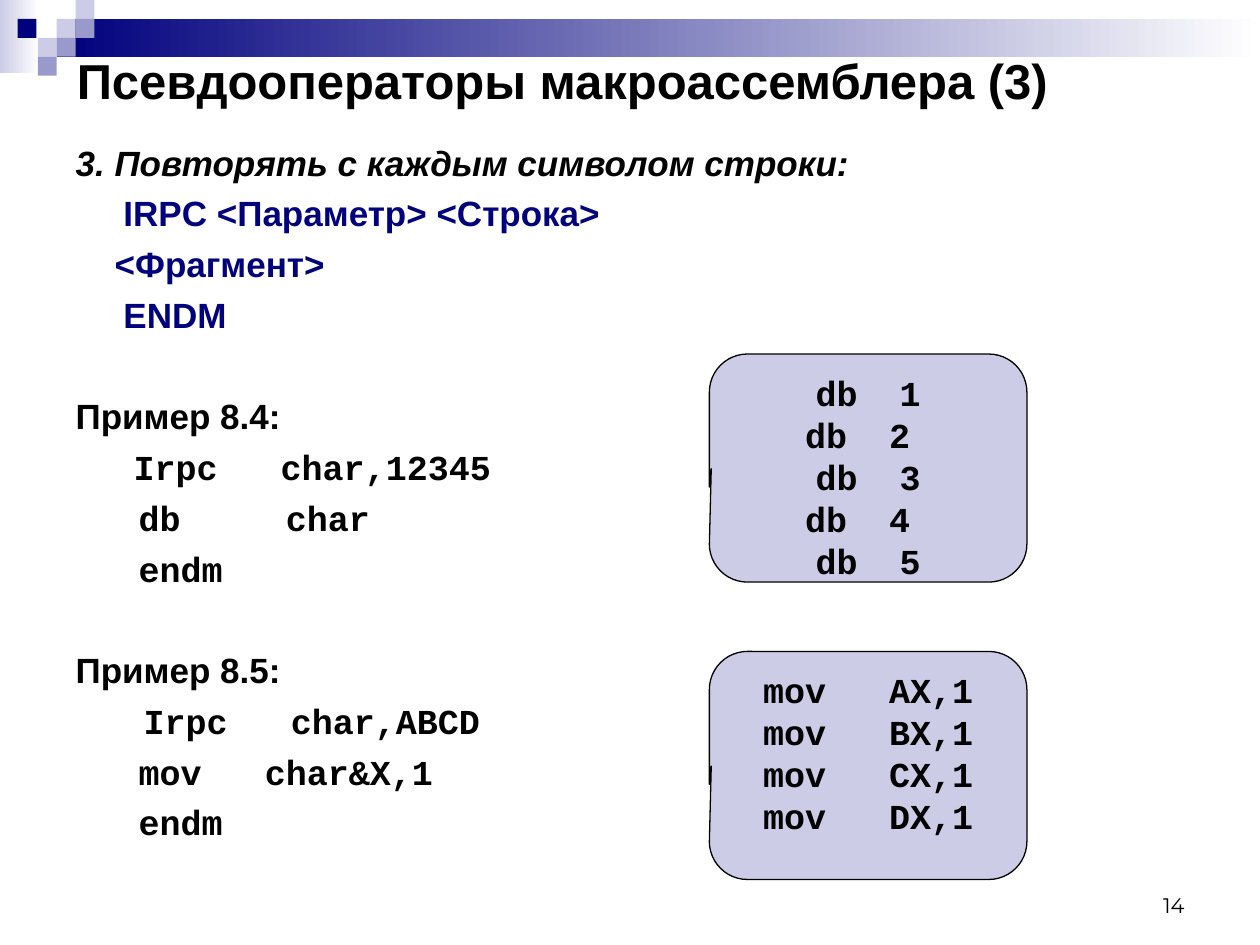
from dataclasses import dataclass

import pptx
import pptx.dml.color
import pptx.enum.shapes
import pptx.enum.text
import pptx.oxml.ns
from lxml import etree
from pptx.util import Inches, Pt

COLORS = {"navy": "00007D", "violet": "9999CC", "lavender": "CCCCE6",
          "white": "FFFFFF", "black": "000000"}
ALIGN = pptx.enum.text.PP_ALIGN
ANCHOR = pptx.enum.text.MSO_ANCHOR
SHAPE = pptx.enum.shapes.MSO_SHAPE
CODE = "Courier New"
SQUARE = 0.15


@dataclass
class Box:
    left: float
    top: float
    width: float
    height: float

    def lengths(self) -> tuple:
        return tuple(Inches(value) for value in (self.left, self.top, self.width, self.height))


@dataclass
class Line:
    text: str
    indent: float = 0
    before: float = 5
    font: str = "Arial"
    color: str = "black"
    italic: bool = False


@dataclass
class Callout:
    top: float
    lines: list[str]


BARS = [(Box(0, 0, 0.31, 0.58), "lavender"), (Box(0.45, 0.15, 9.55, 0.3), "navy")]
SQUARES = [(3, 1, "lavender"), (4, 0, "lavender"), (4, 1, "violet"), (2, 2, "lavender"),
           (0.93, 1, "navy"), (3, 2, "violet"), (2, 3, "violet")]
BODY = [
    Line("3. Повторять с каждым символом строки:", before=0, italic=True),
    Line("IRPC <Параметр> <Строка>", indent=0.38, color="navy"),
    Line("<Фрагмент>", indent=0.31, color="navy"),
    Line("ENDM", indent=0.38, color="navy"),
    Line("Пример 8.4:", before=34),
    Line("Irpc   char,12345", indent=0.46, font=CODE),
    Line("   db     char", font=CODE),
    Line("   endm", font=CODE),
    Line("Пример 8.5:", before=34),
    Line("Irpc   char,ABCD", indent=0.54, font=CODE),
    Line("   mov   char&X,1", font=CODE),
    Line("   endm", font=CODE),
]
CALLOUTS = [
    Callout(2.81, ["db  1", "db  2 ", "db  3", "db  4 ", "db  5"]),
    Callout(5.17, [f"mov\t{register}X,1" for register in "ABCD"]),
]


def rgb(name: str) -> pptx.dml.color.RGBColor:
    return pptx.dml.color.RGBColor.from_string(COLORS[name])


def write(paragraph, text: str, *, size=20, font="Arial", color="black", bold=True,
          italic=False, align=ALIGN.LEFT, indent=0.0, before=0.0, spacing=None) -> None:
    """Fill a paragraph with unbulleted, formatted text."""
    properties = paragraph._p.get_or_add_pPr()
    properties.set("marL", str(Inches(indent)))
    properties.set("indent", "0")
    etree.SubElement(properties, pptx.oxml.ns.qn("a:buNone"))
    paragraph.alignment = align
    paragraph.space_before = Pt(before)
    if spacing:
        paragraph.line_spacing = Pt(spacing)
    run = paragraph.add_run()
    run.text = text
    run.font.size = Pt(size)
    run.font.name = font
    run.font.bold = bold
    run.font.italic = italic
    run.font.color.rgb = rgb(color)


def prepare_frame(shape, anchor):
    frame = shape.text_frame
    frame.word_wrap = True
    frame.auto_size = pptx.enum.text.MSO_AUTO_SIZE.NONE
    frame.vertical_anchor = anchor
    return frame


def next_paragraph(frame, index: int):
    return frame.add_paragraph() if index else frame.paragraphs[0]


def place(shape, box: Box) -> None:
    shape.left, shape.top, shape.width, shape.height = box.lengths()


def add_block(slide, box: Box, color: str, gradient: bool = False) -> None:
    shape = slide.shapes.add_shape(SHAPE.RECTANGLE, *box.lengths())
    shape.shadow.inherit = False
    shape.line.fill.background()
    if gradient:
        shape.fill.gradient()
        shape.fill.gradient_angle = 0
        for stop, name in zip(shape.fill.gradient_stops, (color, "white")):
            stop.color.rgb = rgb(name)
    else:
        shape.fill.solid()
        shape.fill.fore_color.rgb = rgb(color)


def add_callout(slide, callout: Callout) -> None:
    box = Box(5.63, callout.top, 2.52, 1.81)
    shape = slide.shapes.add_shape(SHAPE.ROUNDED_RECTANGULAR_CALLOUT, *box.lengths())
    shape.shadow.inherit = False
    for index, value in enumerate((-0.494, 0.003, 0.167)):
        shape.adjustments[index] = value
    shape.fill.solid()
    shape.fill.fore_color.rgb = rgb("lavender")
    shape.line.color.rgb = rgb("black")
    shape.line.width = Pt(0.75)
    frame = prepare_frame(shape, ANCHOR.TOP)
    for index, text in enumerate(callout.lines):
        write(next_paragraph(frame, index), text, font=CODE, align=ALIGN.CENTER, spacing=24)


def main() -> None:
    presentation = pptx.Presentation()
    presentation.slide_width, presentation.slide_height = Inches(10), Inches(7.5)
    slide = presentation.slides.add_slide(presentation.slide_layouts[1])

    for box, color in BARS:
        add_block(slide, box, color, gradient=True)
    for column, row, color in SQUARES:
        add_block(slide, Box(column * SQUARE, row * SQUARE, SQUARE, SQUARE), color)

    title, body = slide.shapes.title, slide.placeholders[1]
    place(title, Box(0.51, 0.36, 9, 0.55))
    write(prepare_frame(title, ANCHOR.MIDDLE).paragraphs[0],
          "Псевдооператоры макроассемблера (3)", size=28)

    place(body, Box(0.5, 1.07, 9, 6.14))
    frame = prepare_frame(body, ANCHOR.TOP)
    for index, line in enumerate(BODY):
        write(next_paragraph(frame, index), line.text, font=line.font, color=line.color,
              italic=line.italic, indent=line.indent, before=line.before, spacing=24)

    for callout in CALLOUTS:
        add_callout(slide, callout)

    number = slide.shapes.add_textbox(*Box(7.17, 6.83, 2.33, 0.5).lengths())
    write(prepare_frame(number, ANCHOR.BOTTOM).paragraphs[0], "14", size=12,
          font="Montserrat", bold=False, align=ALIGN.RIGHT)
    presentation.save("out.pptx")


if __name__ == "__main__":
    main()
